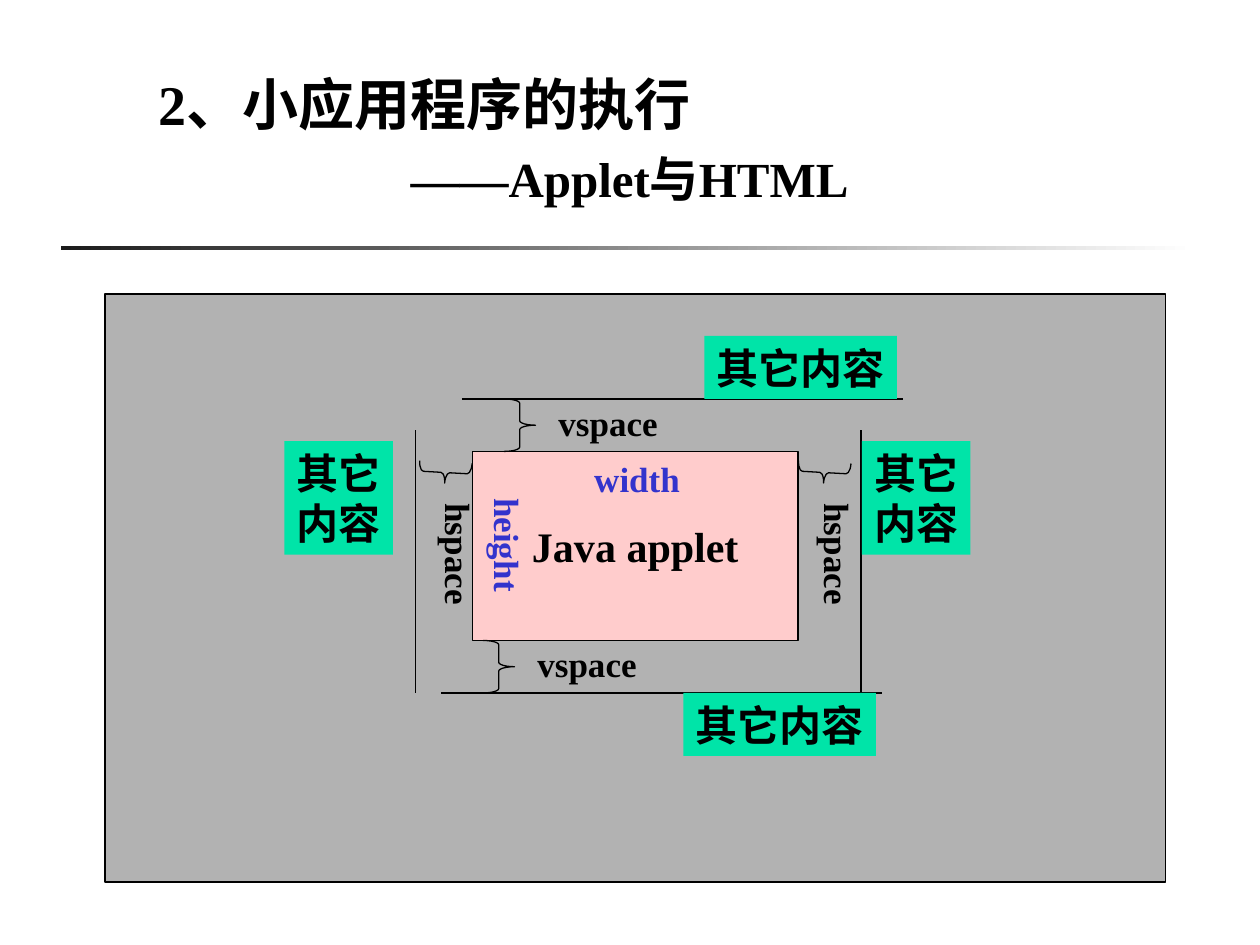
from lxml import etree
from pptx import Presentation
from pptx import util as u
from pptx.dml.color import RGBColor
from pptx.enum import shapes, text
from pptx.oxml.ns import qn

THEME = {
    "font": "Times New Roman",
    "ink": "000000", "accent": "3333CC", "panel": "B2B2B2",
    "applet": "FFCCCC", "content": "00E4A8",
    "rule": ("1C1C1C", "FFFFFF"),
    "title": 32, "subtitle": 28, "body": 24, "label": 20, "line": 0.75,
}

TITLE = ["2、小应用程序的执行", "——Applet与HTML"]
TITLE_BOX = (83.5, 36, 422, 86.5)
RULE = (35, 140.5, 648, 2.5)
PANEL = (60, 168, 606, 336)
APPLET = ("Java applet", (270, 258, 186, 108))

CONTENTS = [
    ("其它内容", (402.5, 192, 110, 36)),
    ("其它内容", (390.5, 396, 110, 36)),
    ("其它\n内容", (162.5, 252, 62, 65)),
    ("其它\n内容", (492.5, 252, 62, 65)),
]
MARGINS = [
    (264, 228, 516, 228),
    (252, 396, 504, 396),
    (237.5, 246, 237.5, 396),
    (492, 246, 492, 396),
]
VSPACE_BRACES = [(288, 228), (276, 366)]
HSPACE_BRACES = [(248.5, 255), (465, 255)]
LABELS = [
    ("vspace", (312, 226, 71, 32), "ink", False),
    ("vspace", (300, 363.5, 71, 32), "ink", False),
    ("hspace", (240, 280.5, 38, 65.5), "ink", True),
    ("hspace", (456.5, 280.5, 38, 65.5), "ink", True),
    ("height", (268, 277.5, 38, 61), "accent", True),
    ("width", (332.5, 258, 63.5, 32), "accent", False),
]


def color(name):
    return RGBColor.from_string(THEME[name])


def points(box):
    return [u.Pt(value) for value in box]


def style_text(part, words, size, ink="ink", align=text.PP_ALIGN.LEFT,
               anchor=text.MSO_ANCHOR.TOP, grow=True, vertical=False):
    frame = part.text_frame
    frame.text = words
    frame.word_wrap = False
    frame.vertical_anchor = anchor
    frame.auto_size = (text.MSO_AUTO_SIZE.SHAPE_TO_FIT_TEXT if grow
                       else text.MSO_AUTO_SIZE.NONE)
    along, across = u.Pt(7.2), u.Pt(3.6)
    if vertical:
        along, across = across, along
        frame._txBody.bodyPr.set("vert", "eaVert")
    frame.margin_left = frame.margin_right = along
    frame.margin_top = frame.margin_bottom = across
    for paragraph in frame.paragraphs:
        paragraph.alignment = align
        for run in paragraph.runs:
            run.font.name = THEME["font"]
            run.font.size = u.Pt(THEME[size])
            run.font.bold = True
            run.font.color.rgb = color(ink)


def add_part(slide, kind, box, fill=None, outlined=True):
    part = slide.shapes.add_shape(kind, *points(box))
    part.shadow.inherit = False
    if fill:
        part.fill.solid()
        part.fill.fore_color.rgb = color(fill)
    else:
        part.fill.background()
    if outlined:
        part.line.color.rgb = color("ink")
        part.line.width = u.Pt(THEME["line"])
    else:
        part.line.fill.background()
    return part


def add_margin(slide, ends):
    margin = slide.shapes.add_connector(shapes.MSO_CONNECTOR.STRAIGHT, *points(ends))
    margin.line.color.rgb = color("ink")
    margin.line.width = u.Pt(THEME["line"])
    etree.SubElement(margin._element.spPr, qn("a:effectLst"))


def add_brace(slide, kind, corner, width, rotation=0):
    height = 30
    brace = add_part(slide, kind, (*corner, width, height))
    brace.adjustments[0] = round(height / 12 / width, 2)
    brace.rotation = rotation


def add_title(slide):
    title = slide.shapes.title
    title.left, title.top, title.width, title.height = points(TITLE_BOX)
    style_text(title, "\n".join(TITLE), "title")
    subtitle = title.text_frame.paragraphs[1]
    subtitle.space_before = u.Pt(7)
    subtitle._p.get_or_add_pPr().set("marL", str(u.Pt(144)))
    subtitle.runs[0].font.size = u.Pt(THEME["subtitle"])


def add_rule(slide):
    rule = add_part(slide, shapes.MSO_SHAPE.RECTANGLE, RULE, outlined=False)
    rule.fill.gradient()
    rule.fill.gradient_angle = 0
    for stop, shade, position in zip(rule.fill.gradient_stops, THEME["rule"], (0, 1)):
        stop.color.rgb = RGBColor.from_string(shade)
        stop.position = position


def main():
    deck = Presentation()
    deck.slide_width, deck.slide_height = points((720, 540))
    slide = deck.slides.add_slide(deck.slide_layouts[5])
    add_title(slide)
    add_rule(slide)

    rectangle = shapes.MSO_SHAPE.RECTANGLE
    add_part(slide, rectangle, PANEL, "panel")
    words, box = APPLET
    applet = add_part(slide, rectangle, box, "applet")
    style_text(applet, words, "body", align=text.PP_ALIGN.CENTER,
               anchor=text.MSO_ANCHOR.MIDDLE, grow=False)

    for ends in MARGINS:
        add_margin(slide, ends)
    for words, box in CONTENTS:
        content = add_part(slide, rectangle, box, "content", outlined=False)
        style_text(content, words, "body", grow=False)
    for corner in VSPACE_BRACES:
        add_brace(slide, shapes.MSO_SHAPE.RIGHT_BRACE, corner, 18)
    for corner in HSPACE_BRACES:
        add_brace(slide, shapes.MSO_SHAPE.LEFT_BRACE, corner, 12, 273.2)
    for words, box, ink, vertical in LABELS:
        label = slide.shapes.add_textbox(*points(box))
        style_text(label, words, "label", ink, vertical=vertical)

    deck.save("out.pptx")


if __name__ == "__main__":
    main()
